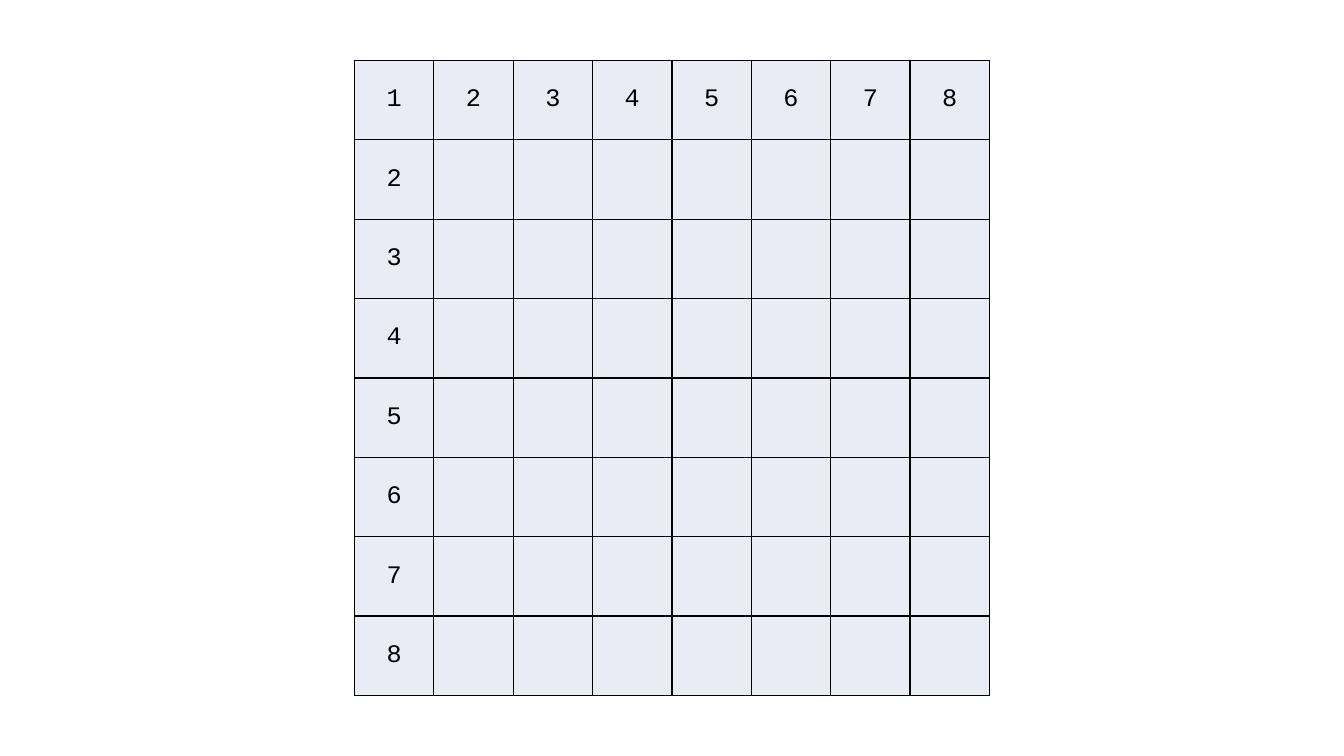
from lxml.etree import SubElement
from pptx import Presentation
from pptx.dml.color import RGBColor
from pptx.enum.text import MSO_ANCHOR, PP_ALIGN
from pptx.oxml.ns import qn
from pptx.util import Pt

BLACK = RGBColor(0x00, 0x00, 0x00)
PALE_BLUE = RGBColor(0xE9, 0xEB, 0xF5)
FONT_NAME = "Courier New"
GRID_SIZE = 8


def add_borders(cell, color, width):
    """Draw a solid line on all four sides; call before filling the cell."""
    properties = cell._tc.get_or_add_tcPr()
    for side in ("lnL", "lnR", "lnT", "lnB"):
        line = SubElement(properties, qn(f"a:{side}"), w=str(width))
        fill = SubElement(line, qn("a:solidFill"))
        SubElement(fill, qn("a:srgbClr"), val=str(color))


def format_cell(cell, text):
    add_borders(cell, BLACK, Pt(1))
    cell.fill.solid()
    cell.fill.fore_color.rgb = PALE_BLUE
    cell.vertical_anchor = MSO_ANCHOR.MIDDLE
    cell.text = text
    paragraph = cell.text_frame.paragraphs[0]
    paragraph.alignment = PP_ALIGN.CENTER
    paragraph.font.name = FONT_NAME
    paragraph.font.size = Pt(18)
    paragraph.font.color.rgb = BLACK


def add_multiplication_grid(slide, left, top, side):
    """Square grid with factors along the first row and first column."""
    table = slide.shapes.add_table(
        GRID_SIZE, GRID_SIZE, Pt(left), Pt(top), Pt(side), Pt(side)
    ).table
    table.first_row = False
    table.horz_banding = False
    for column in table.columns:
        column.width = Pt(side / GRID_SIZE)
    for row in table.rows:
        row.height = Pt(side / GRID_SIZE)
    for row_index in range(GRID_SIZE):
        for column_index in range(GRID_SIZE):
            is_factor = row_index == 0 or column_index == 0
            text = str(row_index + column_index + 1) if is_factor else ""
            format_cell(table.cell(row_index, column_index), text)


presentation = Presentation()
presentation.slide_width = Pt(960)
presentation.slide_height = Pt(540)

# Blank layout: the slide has no title
slide = presentation.slides.add_slide(presentation.slide_layouts[6])
add_multiplication_grid(slide, left=253.2, top=43.2, side=453.6)

presentation.save("out.pptx")
